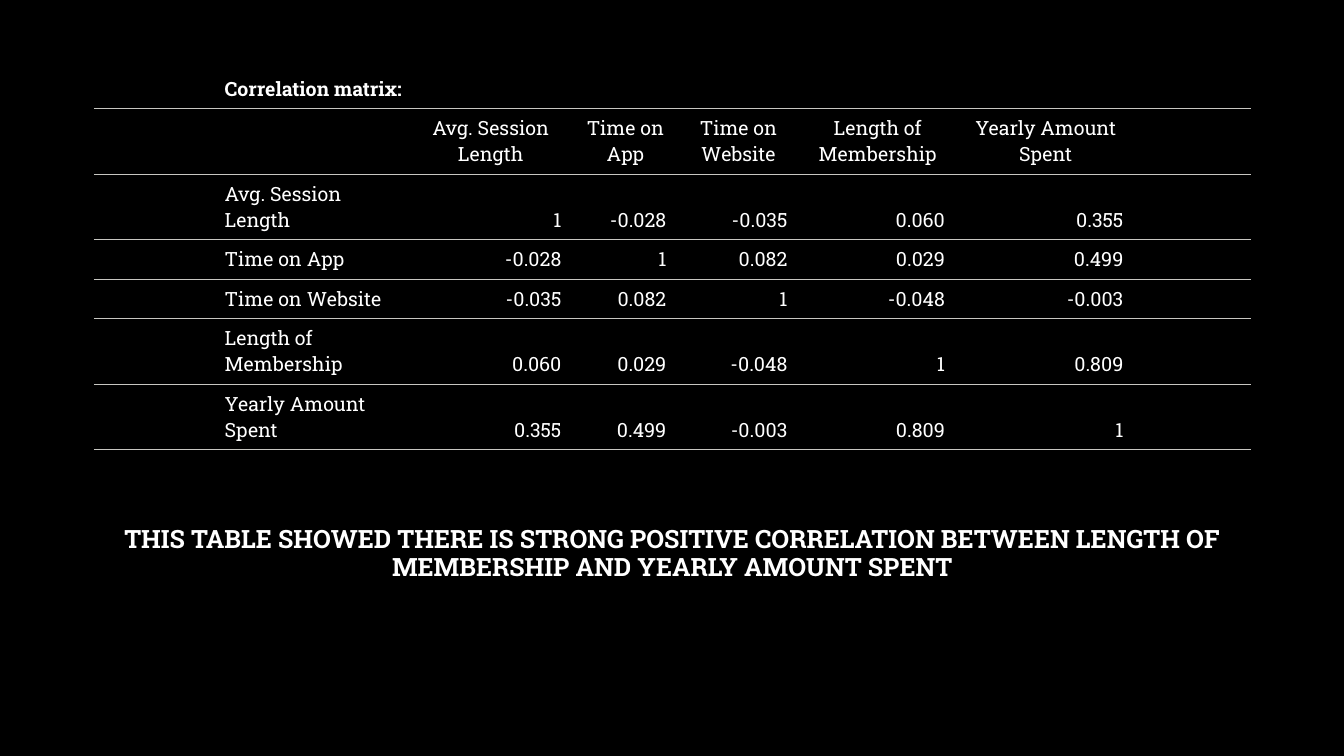
"""Builds a slide with a correlation matrix and its conclusion."""
from lxml import etree
from pptx import Presentation
from pptx import util as u
from pptx.dml import color
from pptx.enum import text
from pptx.oxml import ns

FONT = "Roboto Slab"
WHITE, BLACK, RULE = "FFFFFF", "000000", "C7C6C1"
LEFT, WIDTH = u.Pt(67), u.Pt(826.5)


def rgb(code):
    return color.RGBColor.from_string(code)


def write(paragraph, words, size, bold, align):
    paragraph.alignment = align
    run = paragraph.add_run()
    run.text = words
    run.font.name = FONT
    run.font.size = u.Pt(size)
    run.font.bold = bold
    run.font.color.rgb = rgb(WHITE)


deck = Presentation()
deck.slide_width, deck.slide_height = u.Pt(960), u.Pt(540)
slide = deck.slides.add_slide(deck.slide_layouts[5])
slide.background.fill.solid()
slide.background.fill.fore_color.rgb = rgb(BLACK)

conclusion = slide.shapes.title
conclusion.left, conclusion.top = LEFT, u.Pt(319)
conclusion.width, conclusion.height = WIDTH, u.Pt(100)
frame = conclusion.text_frame
frame.word_wrap = True
frame.auto_size = text.MSO_AUTO_SIZE.NONE
frame.vertical_anchor = text.MSO_ANCHOR.BOTTOM
frame.paragraphs[0].line_spacing = 0.9
write(frame.paragraphs[0],
      "THIS TABLE SHOWED THERE IS STRONG POSITIVE CORRELATION BETWEEN "
      "LENGTH OF MEMBERSHIP AND YEARLY AMOUNT SPENT",
      18, True, text.PP_ALIGN.CENTER)

measures = ["Avg. Session Length", "Time on App", "Time on Website",
            "Length of Membership", "Yearly Amount Spent"]
correlations = [
    ["1", "-0.028", "-0.035", "0.060", "0.355"],
    ["-0.028", "1", "0.082", "0.029", "0.499"],
    ["-0.035", "0.082", "1", "-0.048", "-0.003"],
    ["0.060", "0.029", "-0.048", "1", "0.809"],
    ["0.355", "0.499", "-0.003", "0.809", "1"],
]
rows = [["", "Correlation matrix:"] + [""] * 6, ["", "", *measures, ""]]
rows += [["", name, *values, ""] for name, values in zip(measures, correlations)]
rows.append([""] * 8)
column_widths = [84, 139.5, 117.5, 75, 86.5, 112.5, 127.5, 84]
row_heights = [29.5, 36.5, 36.5, 24.5, 24.5, 36.5, 36.5, 26.5]

matrix = slide.shapes.add_table(len(rows), len(column_widths), LEFT, u.Pt(48),
                                WIDTH, u.Pt(sum(row_heights))).table
matrix.first_row = matrix.horz_banding = False
style = matrix._tbl.tblPr.find(ns.qn("a:tableStyleId"))
style.text = "{2D5ABB26-0587-4C30-8999-92F81FD0307C}"
for column, width in zip(matrix.columns, column_widths):
    column.width = u.Pt(width)
for row, height in zip(matrix.rows, row_heights):
    row.height = u.Pt(height)

for r, entries in enumerate(rows):
    for c, words in enumerate(entries):
        cell = matrix.cell(r, c)
        cell.fill.background()
        cell.vertical_anchor = text.MSO_ANCHOR.BOTTOM
        cell.margin_left, cell.margin_right = u.Pt(9.5), u.Pt(7)
        cell.margin_top = cell.margin_bottom = u.Pt(4.8 if words else 0)
        if words:
            align = (text.PP_ALIGN.LEFT if c == 1 else
                     text.PP_ALIGN.CENTER if r == 1 else text.PP_ALIGN.RIGHT)
            write(cell.text_frame.paragraphs[0], words, 14, r == 0, align)
        properties = cell._tc.get_or_add_tcPr()
        edges = ["a:lnT"] * (r > 0) + ["a:lnB"] * (r < len(rows) - 1)
        for place, edge in enumerate(edges):
            line = etree.Element(ns.qn(edge), w=str(u.Pt(0.75)))
            paint = etree.SubElement(line, ns.qn("a:solidFill"))
            etree.SubElement(paint, ns.qn("a:srgbClr"), val=RULE)
            properties.insert(place, line)
matrix.cell(0, 1).merge(matrix.cell(0, 2))

deck.save("out.pptx")
